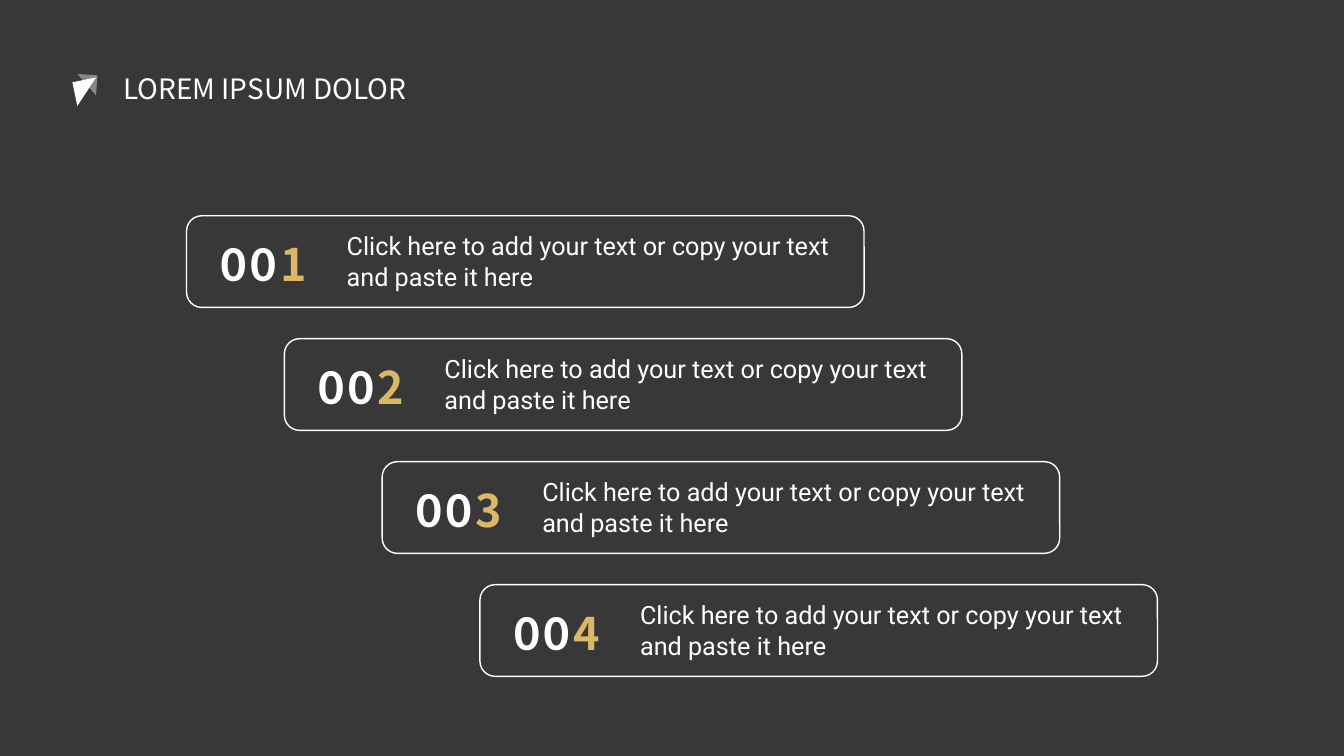
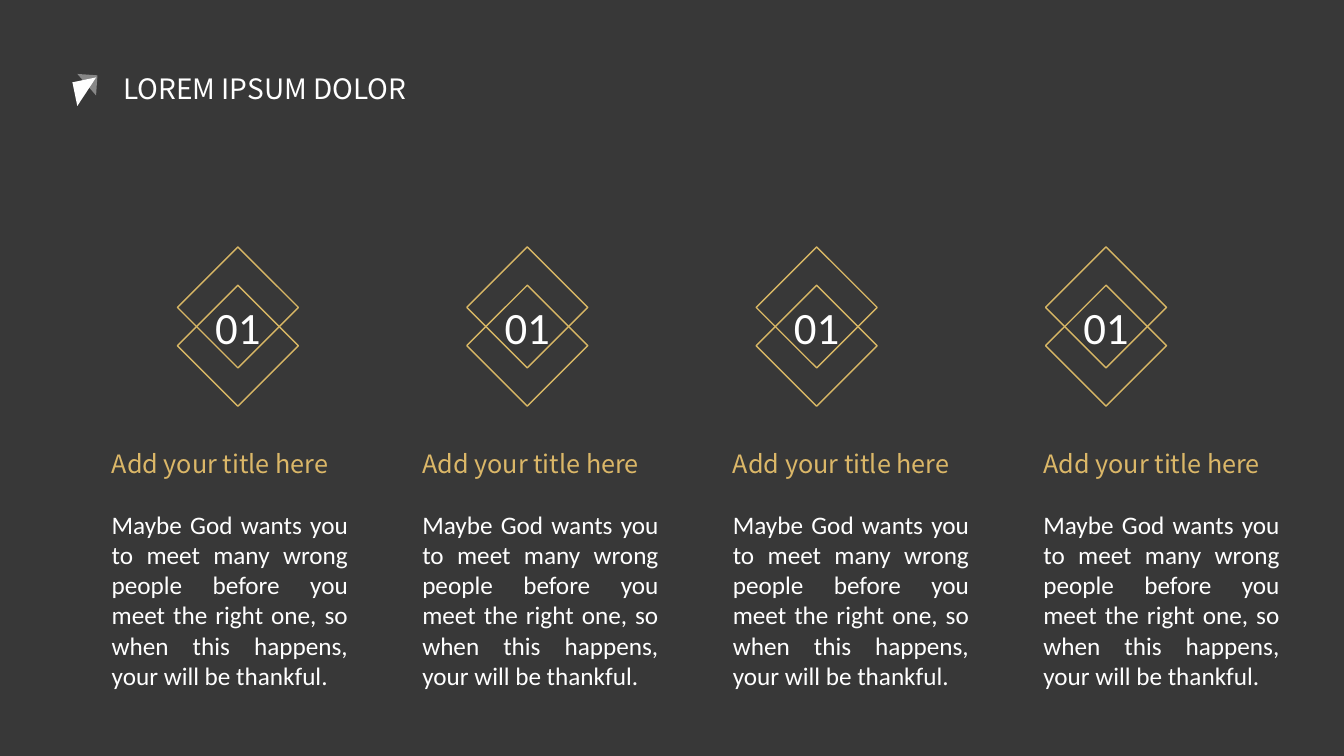
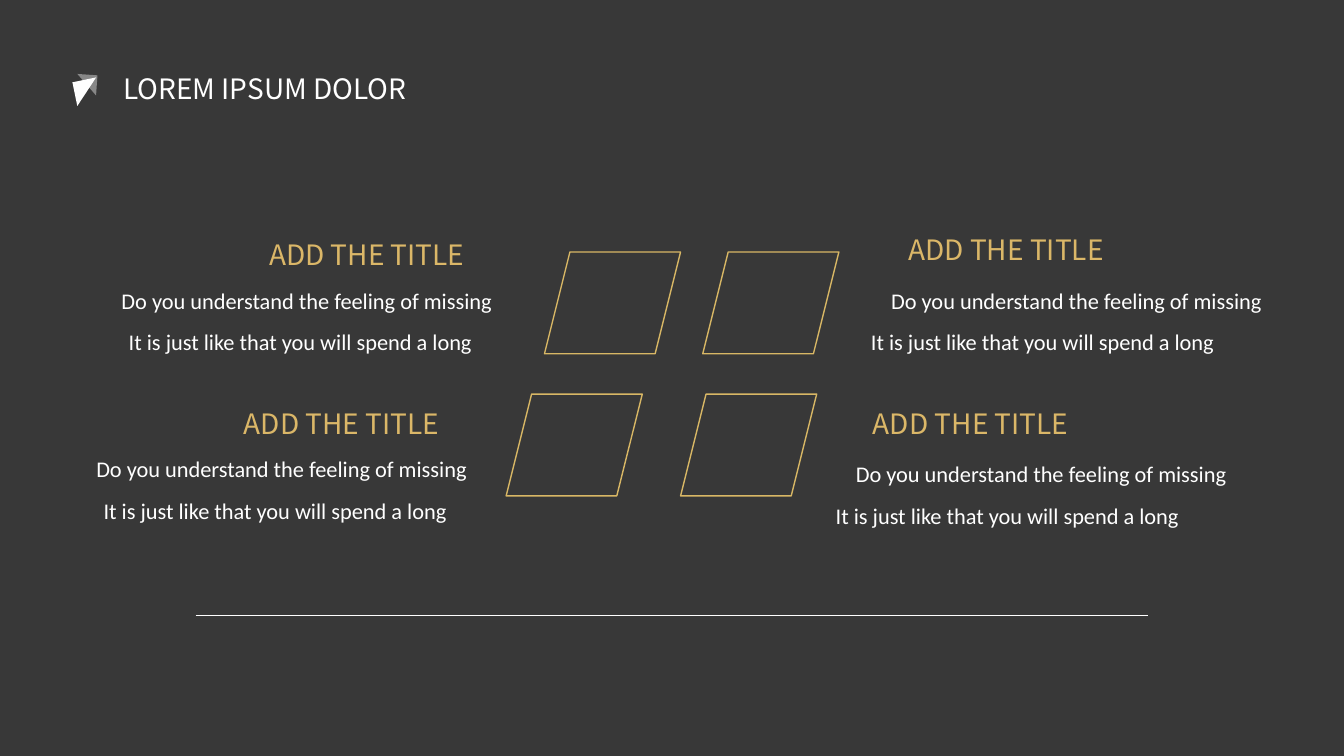
import dataclasses

import pptx
import pptx.dml.color
import pptx.enum.shapes
import pptx.enum.text
import pptx.oxml
import pptx.oxml.ns
import pptx.util

Inches = pptx.util.Inches
Pt = pptx.util.Pt
Shape = pptx.enum.shapes.MSO_SHAPE
Align = pptx.enum.text.PP_ALIGN


@dataclasses.dataclass(frozen=True)
class Theme:
    back: str = "383838"
    white: str = "FFFFFF"
    gold: str = "DBB768"
    edge: str = "D8B765"
    title_font: str = "Noto Sans CJK JP"
    head_font: str = "Noto Sans CJK SC"
    body_font: str = "Calibri"
    step_font: str = "Roboto"
    title: int = 20
    head: int = 18
    body: int = 18
    small: int = 16
    count: int = 36
    digit: int = 32


THEME = Theme()


def color(code):
    return pptx.dml.color.RGBColor.from_string(code)


def style(font, face, size, tint, bold=False):
    font.name, font.size, font.bold = face, Pt(size), bold
    font.color.rgb = color(tint)


def add_box(slide, left, top, width, height):
    """Add an empty, wrapping text box and return its first paragraph."""
    box = slide.shapes.add_textbox(Inches(left), Inches(top), Inches(width), Inches(height))
    box.text_frame.word_wrap = True
    return box.text_frame.paragraphs[0]


def add_text(slide, text, spot, face, size, tint, align=Align.LEFT):
    para = add_box(slide, *spot)
    para.text = text
    para.alignment = align
    style(para.font, face, size, tint)


def add_form(slide, kind, left, top, width, height, fill=None, line=None):
    form = slide.shapes.add_shape(kind, Inches(left), Inches(top), Inches(width), Inches(height))
    form.shadow.inherit = False
    if fill:
        form.fill.solid()
        form.fill.fore_color.rgb = color(fill)
    else:
        form.fill.background()
    if line:
        form.line.color.rgb = color(line)
        form.line.width = Pt(1)
    else:
        form.line.fill.background()
    return form


def add_mark(slide):
    """Add the two overlapping triangles beside the title."""
    front = add_form(slide, Shape.RIGHT_TRIANGLE, 0.74, 0.79, 0.24, 0.24, THEME.white)
    front.rotation = 78.4
    veil = add_form(slide, Shape.RIGHT_TRIANGLE, 0.76, 0.74, 0.2, 0.2, THEME.white)
    veil.rotation = 184
    tint = veil.fill._xPr.find(".//" + pptx.oxml.ns.qn("a:srgbClr"))
    pptx.oxml.ns.qn("a:alpha")
    alpha = tint.makeelement(pptx.oxml.ns.qn("a:alpha"), {"val": "40000"})
    tint.append(alpha)


def add_slide(deck, text):
    slide = deck.slides.add_slide(deck.slide_layouts.get_by_name("Title Only"))
    title = slide.shapes.title
    title.left, title.top = Inches(1.12), Inches(0.66)
    title.width, title.height = Inches(3.3), Inches(0.44)
    frame = title.text_frame
    frame.text = text
    frame.word_wrap = False
    frame.auto_size = pptx.enum.text.MSO_AUTO_SIZE.NONE
    frame.vertical_anchor = pptx.enum.text.MSO_ANCHOR.TOP
    para = frame.paragraphs[0]
    para.alignment = Align.LEFT
    style(para.font, THEME.title_font, THEME.title, THEME.white)
    add_mark(slide)
    return slide


def add_step(slide, digit, left, top):
    """Add a rounded frame with its number and text."""
    add_form(slide, Shape.ROUNDED_RECTANGLE, left, top, 6.72, 0.91, line=THEME.white)
    para = add_box(slide, left + 0.24, top + 0.1, 1.16, 0.71)
    zeros, last = para.add_run(), para.add_run()
    zeros.text, last.text = "00", str(digit)
    style(zeros.font, THEME.body_font, THEME.count, THEME.white, bold=True)
    zeros.font._rPr.set("spc", "300")
    style(last.font, THEME.head_font, THEME.digit, THEME.gold, bold=True)
    add_text(slide, "Click here to add your text or copy your text and paste it here",
             (left + 1.49, top + 0.1, 5.05, 0.71), THEME.step_font, THEME.body, THEME.white)


def add_badge(slide, text, left, top):
    """Add two crossing diamonds around a number."""
    for drop in (0, 0.38):
        add_form(slide, Shape.DIAMOND, left, top + drop, 1.2, 1.2, line=THEME.edge)
    add_text(slide, text, (left + 0.18, top + 0.47, 0.84, 0.64),
             THEME.body_font, THEME.digit, THEME.white, Align.CENTER)


def add_column(slide, left, top):
    add_text(slide, "Add your title here", (left, top, 2.93, 0.4),
             THEME.head_font, THEME.head, THEME.gold)
    add_text(slide, "Maybe God wants you to meet many wrong people before you meet "
             "the right one, so when this happens, your will be thankful.",
             (left, top + 0.6, 2.54, 1.92),
             THEME.body_font, THEME.body, THEME.white, Align.JUSTIFY)


def add_note(slide, left, top, shift, drop, align):
    """Add a heading and two lines; shift and drop place the first line."""
    add_text(slide, "ADD THE TITLE", (left, top, 2.6, 0.44),
             THEME.head_font, THEME.title, THEME.gold)
    lines = ("Do you understand the feeling of missing",
             "It is just like that you will spend a long")
    for row, text in enumerate(lines):
        spot = (left + shift - 0.2 * row, top + drop + 0.41 * row, 4.13, 0.37)
        add_text(slide, text, spot, THEME.body_font, THEME.small, THEME.white, align)


def add_rule(slide, left, right, top):
    rule = slide.shapes.add_connector(pptx.enum.shapes.MSO_CONNECTOR.STRAIGHT,
                                      Inches(left), Inches(top), Inches(right), Inches(top))
    rule.line.color.rgb = color(THEME.white)
    rule.line.width = Pt(0.5)
    props = rule._element.spPr
    props.append(props.makeelement(pptx.oxml.ns.qn("a:effectLst"), {}))


def main():
    deck = pptx.Presentation()
    deck.slide_width, deck.slide_height = Inches(13.33), Inches(7.5)
    back = deck.slide_master.background.fill
    back.solid()
    back.fore_color.rgb = color(THEME.back)
    title = "LOREM IPSUM DOLOR"

    steps = add_slide(deck, title)
    for i in range(4):
        add_step(steps, i + 1, 1.85 + 0.97 * i, 2.14 + 1.22 * i)

    columns = add_slide(deck, title)
    for i in range(4):
        add_badge(columns, "01", 1.76 + 2.87 * i, 2.45)
        add_column(columns, 1.01 + 3.08 * i, 4.4)

    notes = add_slide(deck, title)
    for left, top in ((5.4, 2.5), (6.97, 2.5), (5.02, 3.91), (6.75, 3.91)):
        add_form(notes, Shape.PARALLELOGRAM, left, top, 1.35, 1.01, line=THEME.edge)
    for left, top in ((8.91, 2.26), (8.56, 3.98)):
        add_note(notes, left, top, -0.17, 0.54, Align.LEFT)
    for left, top in ((2.57, 2.31), (2.32, 3.98)):
        add_note(notes, left, top, -1.72, 0.49, Align.RIGHT)
    add_rule(notes, 1.94, 11.39, 6.1)

    deck.save("out.pptx")


if __name__ == "__main__":
    main()
